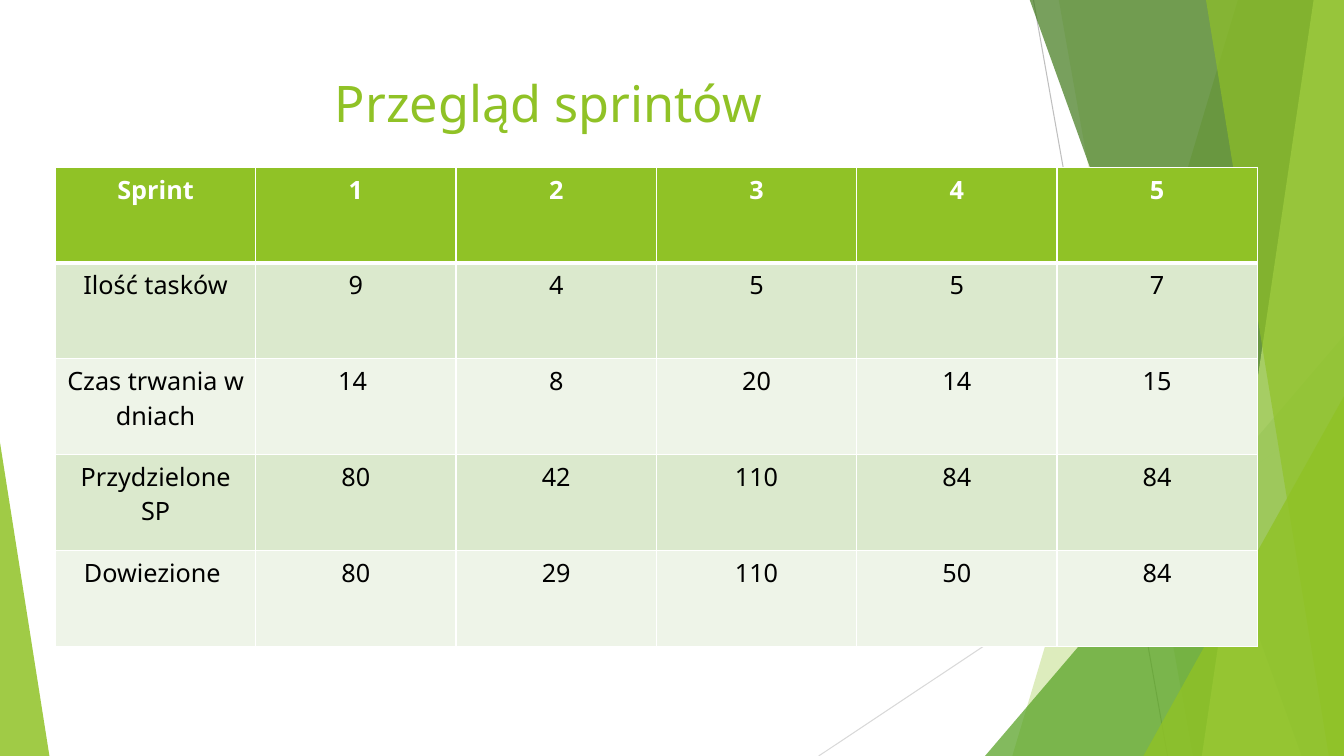
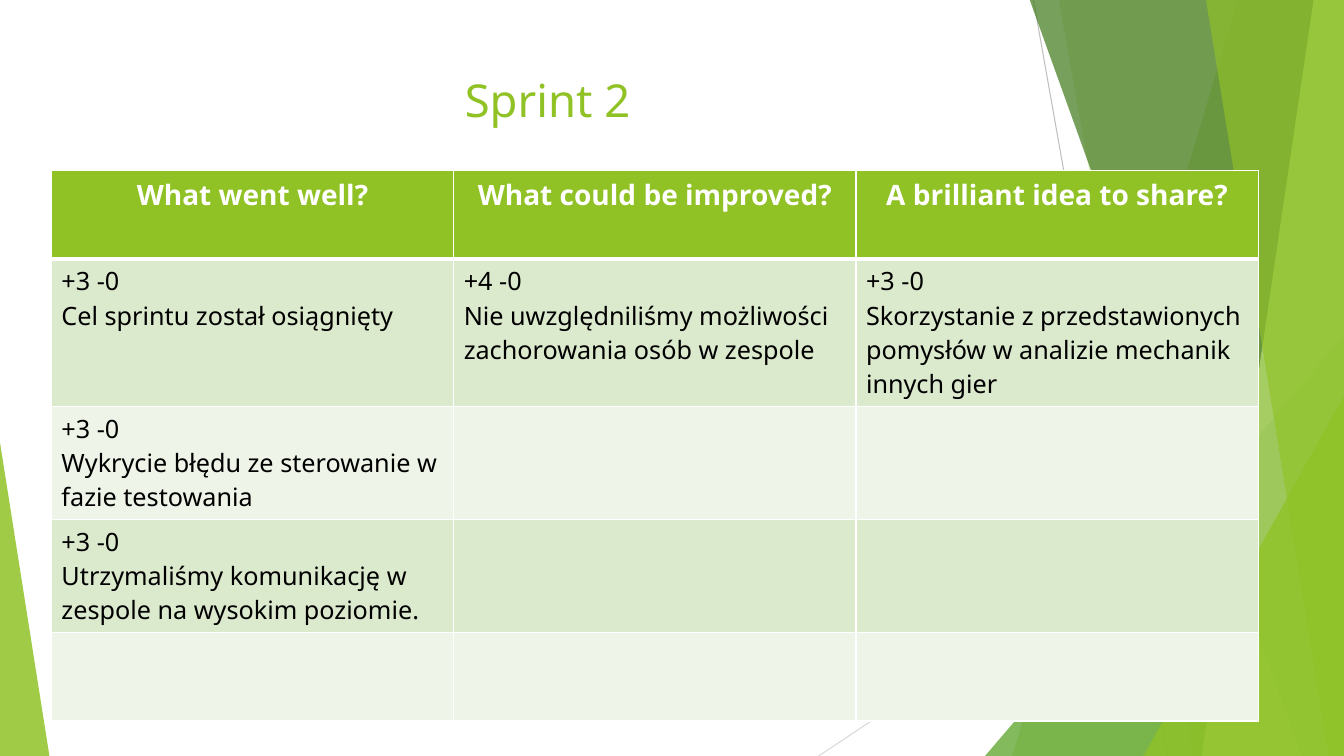
from dataclasses import dataclass

from lxml.etree import SubElement
from pptx import Presentation
from pptx.dml.color import RGBColor as RGB
from pptx.enum.shapes import MSO_CONNECTOR as Connector, MSO_SHAPE as Preset
from pptx.enum.text import MSO_ANCHOR as Anchor, MSO_AUTO_SIZE as AutoSize, PP_ALIGN as Align
from pptx.oxml.ns import qn
from pptx.util import Inches, Pt


@dataclass(frozen=True)
class Theme:
    font: str = "Noto Sans"
    lime: str = "90C226"
    green: str = "54A021"
    forest: str = "3F7819"
    pale_lime: str = "C0E474"
    band_dark: str = "DBE9CD"
    band_light: str = "EEF4E8"
    line_dark: str = "BFBFBF"
    line_light: str = "D9D9D9"
    white: str = "FFFFFF"
    black: str = "000000"
    body: float = 18


THEME = Theme()
WIDTH, HEIGHT = 13.33, 7.5


def style_text(text_frame, size, color, align, bold=False):
    for paragraph in text_frame.paragraphs:
        paragraph.alignment = align
        for run in paragraph.runs:
            run.font.name = THEME.font
            run.font.size = Pt(size)
            run.font.bold = bold
            run.font.color.rgb = RGB.from_string(color)


def set_borders(cell, bottom_width):
    borders = cell._tc.get_or_add_tcPr()
    for side, points in (("L", 1), ("R", 1), ("T", 1), ("B", bottom_width)):
        edge = SubElement(borders, qn(f"a:ln{side}"), w=str(Pt(points)))
        SubElement(SubElement(edge, qn("a:solidFill")), qn("a:srgbClr"), val=THEME.white)


prs = Presentation()
prs.slide_width, prs.slide_height = Inches(WIDTH), Inches(HEIGHT)
title_only = prs.slide_layouts[5]
for placeholder in list(title_only.placeholders)[1:]:
    placeholder.element.getparent().remove(placeholder.element)

overview = prs.slides.add_slide(title_only)
backdrop = []

for x1, y1, x2, y2, color in (
    (10.25, 0, 11.58, HEIGHT, THEME.line_dark),
    (WIDTH, 4.03, 8.12, HEIGHT, THEME.line_light),
):
    ray = overview.shapes.add_connector(
        Connector.STRAIGHT, Inches(x1), Inches(y1), Inches(x2), Inches(y2))
    ray.line.color.rgb = RGB.from_string(color)
    ray.line.width = Pt(0.75)
    SubElement(ray.element.spPr, qn("a:effectLst"))
    backdrop.append(ray)

# panel: top x, bottom x; triangle: left, top, width, apex
for outline, color, opacity in (
    ((12.28, 10.04), THEME.lime, 30),
    ((10.5, 11.83), THEME.lime, 20),
    ((9.77, 3.33, 3.56, 1), THEME.green, 72),
    ((10.21, 12.91), THEME.forest, 70),
    ((13.03, 11.92), THEME.pale_lime, 70),
    ((11.96, 13.18), THEME.lime, 65),
    ((11.34, 3.93, 1.99, 1), THEME.lime, 80),
    ((0, 4.39, 0.49, 0), THEME.lime, 85),
):
    if len(outline) == 2:
        top_x, bottom_x = outline
        builder = overview.shapes.build_freeform(Inches(top_x), Inches(-0.01))
        builder.add_line_segments([
            (Inches(WIDTH), Inches(-0.01)),
            (Inches(WIDTH), Inches(HEIGHT)),
            (Inches(bottom_x), Inches(HEIGHT)),
        ])
        facet = builder.convert_to_shape()
    else:
        left, top, width, apex = outline
        facet = overview.shapes.add_shape(
            Preset.ISOSCELES_TRIANGLE,
            Inches(left), Inches(top), Inches(width), Inches(HEIGHT - top))
        facet.adjustments[0] = apex
    facet.shadow.inherit = False
    facet.fill.solid()
    facet.fill.fore_color.rgb = RGB.from_string(color)
    facet.line.fill.background()
    tint = facet.element.spPr.find(qn("a:solidFill")).find(qn("a:srgbClr"))
    SubElement(tint, qn("a:alpha"), val=str(opacity * 1000))
    backdrop.append(facet)

layout_tree = title_only.element.cSld.spTree
for position, piece in enumerate(backdrop, start=2):
    layout_tree.insert(position, piece.element)

retro = prs.slides.add_slide(title_only)

sprint_rows = [
    ["Sprint", "1", "2", "3", "4", "5"],
    ["Ilość tasków", "9", "4", "5", "5", "7"],
    ["Czas trwania w dniach", "14 ", "8", "20", "14", "15"],
    ["Przydzielone SP", "80", "42", "110", "84", "84"],
    ["Dowiezione ", "80", "29", "110", "50", "84"],
]
retro_rows = [
    ["What went well?", "What could be improved?", "A brilliant idea to share?"],
    [
        "+3\u00a0-0\nCel sprintu został osiągnięty",
        "+4\u00a0-0\nNie uwzględniliśmy możliwości zachorowania osób w zespole",
        "+3\u00a0-0\nSkorzystanie z przedstawionych pomysłów w analizie mechanik innych gier",
    ],
    ["+3\u00a0-0\nWykrycie błędu ze sterowanie w fazie testowania", "", ""],
    ["+3\u00a0-0\nUtrzymaliśmy komunikację w zespole na wysokim poziomie.", "", ""],
    ["", "", ""],
]

for slide, heading, title_box, title_size, rows, table_box, header_size, body_align in (
    (overview, "Przegląd sprintów", (0.74, 0.67, 9.4, 1.44), 36,
     sprint_rows, (0.55, 1.66, 11.92, 4.75), 18, Align.CENTER),
    (retro, "Sprint 2", (0.72, 0.67, 9.42, 0.62), 32.4,
     retro_rows, (0.51, 1.69, 11.97, 4.4), 20, Align.LEFT),
):
    title = slide.shapes.title
    title.left, title.top, title.width, title.height = map(Inches, title_box)
    title.text_frame.text = heading
    title.text_frame.auto_size = AutoSize.NONE
    title.text_frame.vertical_anchor = Anchor.TOP
    style_text(title.text_frame, title_size, THEME.lime, Align.CENTER)

    table = slide.shapes.add_table(len(rows), len(rows[0]), *map(Inches, table_box)).table
    for row_index, row in enumerate(rows):
        is_header = row_index == 0
        band = THEME.band_dark if row_index % 2 else THEME.band_light
        for column_index, words in enumerate(row):
            cell = table.cell(row_index, column_index)
            cell.text_frame.text = words
            set_borders(cell, 3 if is_header else 1)
            cell.fill.solid()
            cell.fill.fore_color.rgb = RGB.from_string(THEME.lime if is_header else band)
            if is_header:
                style_text(cell.text_frame, header_size, THEME.white, Align.CENTER, bold=True)
            else:
                style_text(cell.text_frame, THEME.body, THEME.black, body_align)

prs.save("out.pptx")
